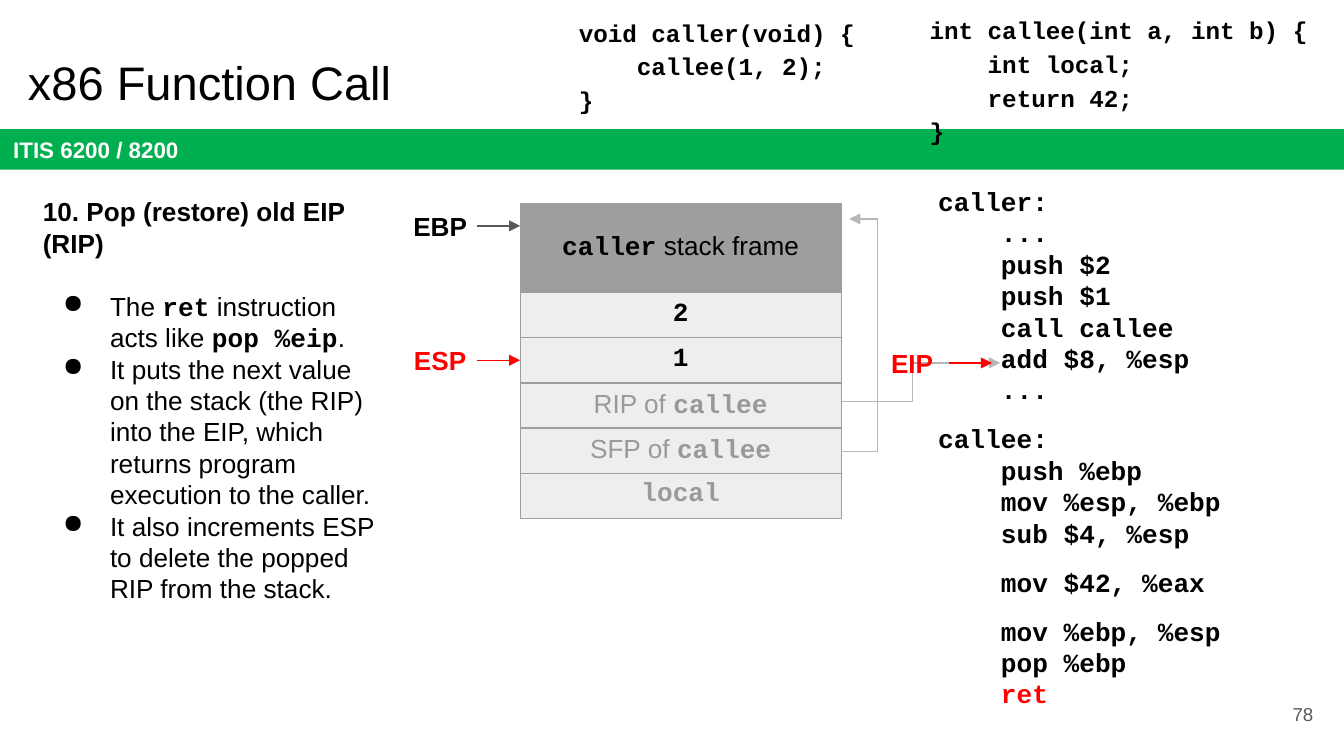
from dataclasses import dataclass
from typing import NamedTuple

from lxml.etree import SubElement
from pptx import Presentation
from pptx.dml.color import RGBColor
from pptx.enum.shapes import MSO_CONNECTOR, MSO_SHAPE
from pptx.enum.text import MSO_ANCHOR, PP_ALIGN
from pptx.oxml.ns import qn
from pptx.util import Cm, Pt


@dataclass(frozen=True)
class Theme:
    sans: str = "Arial"
    mono: str = "Courier New"
    black: str = "000000"
    white: str = "FFFFFF"
    green: str = "00B050"
    red: str = "FF0000"
    dark: str = "595959"
    frame: str = "9E9E9E"
    cell: str = "EEEEEE"
    faded: str = "999999"
    wire: str = "B7B7B7"
    title: float = 25.2
    body: float = 14
    code: float = 13
    bar: float = 12
    page: float = 10
    line: float = 0.75
    lead: float = 16.85
    wide: float = 18.1
    gap: float = 9.4


class Box(NamedTuple):
    """A place on the slide, in centimetres."""
    x: float
    y: float
    w: float
    h: float

    def cm(self):
        return [Cm(v) for v in self]


T = Theme()


def rgb(color):
    return RGBColor.from_string(color)


def add_run(para, text, size, color=T.black, bold=False, font=T.sans):
    run = para.add_run()
    run.text = text
    run.font.name, run.font.size, run.font.bold = font, Pt(size), bold
    run.font.color.rgb = rgb(color)


def add_mix(para, parts, color=T.black):
    """Add body runs, where every second part is bold code."""
    for i, part in enumerate(parts):
        if part:
            add_run(para, part, T.body, color, i % 2 == 1, T.mono if i % 2 else T.sans)


def add_box(slide, box, inset=0.25, anchor=MSO_ANCHOR.TOP):
    frame = slide.shapes.add_textbox(*box.cm()).text_frame
    frame.word_wrap = True
    frame.vertical_anchor = anchor
    frame.margin_left = frame.margin_right = Cm(inset)
    frame.margin_top = frame.margin_bottom = Cm(inset)
    return frame


def add_para(frame, first):
    return frame.paragraphs[0] if first else frame.add_paragraph()


def style_line(shape, color, end):
    shape.line.color.rgb = rgb(color)
    shape.line.width = Pt(T.line)
    SubElement(shape.line._get_or_add_ln(), qn(f"a:{end}"), type="triangle")


def add_bar(slide, box):
    bar = slide.shapes.add_shape(MSO_SHAPE.RECTANGLE, *box.cm())
    bar.shadow.inherit = False
    bar.fill.solid()
    bar.fill.fore_color.rgb = rgb(T.green)
    bar.line.fill.background()
    frame = bar.text_frame
    frame.margin_left = Cm(0.25)
    frame.vertical_anchor = MSO_ANCHOR.MIDDLE
    para = frame.paragraphs[0]
    para.alignment = PP_ALIGN.LEFT
    add_run(para, "ITIS 6200 / 8200", T.bar, T.white, True)


def add_title(slide, box):
    add_run(add_box(slide, box).paragraphs[0], "x86 Function Call", T.title)


def add_page(slide, box):
    para = add_box(slide, box, anchor=MSO_ANCHOR.MIDDLE).paragraphs[0]
    para.alignment = PP_ALIGN.RIGHT
    add_run(para, "78", T.page, T.dark)


def add_source(slide, box, lines):
    """Place C code as one paragraph with line breaks."""
    para = add_box(slide, box).paragraphs[0]
    para.line_spacing = Pt(T.wide)
    for i, line in enumerate(lines):
        if i:
            para.add_line_break()
        add_run(para, line, T.code, bold=True, font=T.mono)


def add_listing(slide, box, blocks):
    """Place assembly code, with a small gap between blocks."""
    frame = add_box(slide, box)
    for b, block in enumerate(blocks):
        for i, line in enumerate(block):
            para = add_para(frame, b == i == 0)
            para.line_spacing = Pt(T.lead)
            if b and i == 0:
                para.space_before = Pt(T.gap)
            color = T.red if line.strip() == "ret" else T.black
            add_run(para, line, T.body, color, True, T.mono)


def add_steps(slide, box, head, points):
    frame = add_box(slide, box)
    para = frame.paragraphs[0]
    para.line_spacing = Pt(T.lead)
    add_run(para, head, T.body, bold=True)
    for i, parts in enumerate(points):
        para = frame.add_paragraph()
        para.line_spacing = Pt(T.lead)
        if i == 0:
            para.space_before = Pt(T.lead)
        props = para._p.get_or_add_pPr()
        props.set("marL", str(Cm(1.27)))
        props.set("indent", str(-Cm(0.89)))
        SubElement(props, qn("a:buChar"), char="●")
        add_mix(para, parts)


def add_border(cell):
    props = cell._tc.get_or_add_tcPr()
    for side in "LRTB":
        line = SubElement(props, qn(f"a:ln{side}"), w=str(Pt(T.line)))
        fill = SubElement(line, qn("a:solidFill"))
        SubElement(fill, qn("a:srgbClr"), val=T.frame)


def add_stack(slide, box, rows):
    table = slide.shapes.add_table(len(rows), 1, *box.cm()).table
    table.first_row = table.horz_banding = False
    table.columns[0].width = Cm(box.w)
    for i, (height, color, parts) in enumerate(rows):
        table.rows[i].height = Cm(height)
        cell = table.cell(i, 0)
        cell.margin_left = cell.margin_right = Cm(0.13)
        cell.margin_top = cell.margin_bottom = Cm(0.13)
        cell.vertical_anchor = MSO_ANCHOR.TOP if i else MSO_ANCHOR.MIDDLE
        add_border(cell)
        cell.fill.solid()
        cell.fill.fore_color.rgb = rgb(T.cell if i else T.frame)
        para = cell.text_frame.paragraphs[0]
        para.alignment = PP_ALIGN.CENTER
        add_mix(para, parts, color)


def add_wire(slide, points):
    """Draw a bent line with an arrowhead at its last point."""
    start, *rest = [(Cm(x), Cm(y)) for x, y in points]
    pen = slide.shapes.build_freeform(*start)
    pen.add_line_segments(rest, close=False)
    wire = pen.convert_to_shape()
    wire.shadow.inherit = False
    wire.fill.background()
    style_line(wire, T.wire, "tailEnd")


def add_pointer(slide, box, name, color, line):
    """Place a register name with an arrow to the right of it."""
    para = add_box(slide, box, 0.13).paragraphs[0]
    para.alignment = PP_ALIGN.CENTER
    add_run(para, name, T.body, color, True)
    x, y = box.x + box.w, box.y + box.h / 2
    arrow = slide.shapes.add_connector(
        MSO_CONNECTOR.STRAIGHT, Cm(x), Cm(y), Cm(x + 0.81), Cm(y))
    style_line(arrow, line, "tailEnd")
    SubElement(arrow._element.spPr, qn("a:effectLst"))


def main():
    deck = Presentation()
    deck.slide_width, deck.slide_height = Cm(25.4), Cm(14.29)
    slide = deck.slides.add_slide(deck.slide_layouts[6])
    add_bar(slide, Box(0, 2.44, 25.4, 0.77))
    add_wire(slide, [(15.88, 7.59), (17.25, 7.59), (17.25, 6.86), (18.9, 6.86)])
    add_listing(slide, Box(17.48, 3.25, 7.19, 10.8), [
        ["caller:", "    ...", "    push $2", "    push $1", "    call callee",
         "    add $8, %esp", "    ..."],
        ["callee:", "    push %ebp", "    mov %esp, %ebp", "    sub $4, %esp"],
        ["    mov $42, %eax"],
        ["    mov %ebp, %esp", "    pop %ebp", "    ret"]])
    add_title(slide, Box(0.28, 0.76, 23.67, 1.6))
    add_page(slide, Box(23.55, 12.95, 1.52, 1.09))
    add_stack(slide, Box(9.83, 3.84, 6.07, 5.82), [
        (1.69, T.black, ["", "caller", " stack frame"]),
        (0.81, T.black, ["", "2"]),
        (0.81, T.black, ["", "1"]),
        (0.85, T.faded, ["RIP of ", "callee"]),
        (0.85, T.faded, ["SFP of ", "callee"]),
        (0.81, T.faded, ["", "local"])])
    add_wire(slide, [(15.9, 8.53), (16.59, 8.53), (16.59, 4.14), (16.05, 4.14)])
    add_steps(slide, Box(0.56, 3.45, 6.81, 10.46), "10. Pop (restore) old EIP (RIP)", [
        ["The ", "ret", " instruction acts like ", "pop %eip", "."],
        ["It puts the next value on the stack (the RIP) into the EIP, which "
         "returns program execution to the caller."],
        ["It also increments ESP to delete the popped RIP from the stack."]])
    for x, y, name, color, line in [(7.62, 3.84, "EBP", T.black, T.dark),
                                    (7.62, 6.38, "ESP", T.red, T.red),
                                    (16.54, 6.43, "EIP", T.red, T.red)]:
        add_pointer(slide, Box(x, y, 1.4, 0.86), name, color, line)
    add_source(slide, Box(10.69, 0, 6.35, 2.39),
               ["void caller(void) {", "    callee(1, 2);", "}"])
    add_source(slide, Box(17.32, -0.05, 7.75, 3), [
        "int callee(int a, int b) {", "    int local;", "    return 42;", "}"])
    deck.save("out.pptx")


if __name__ == "__main__":
    main()
